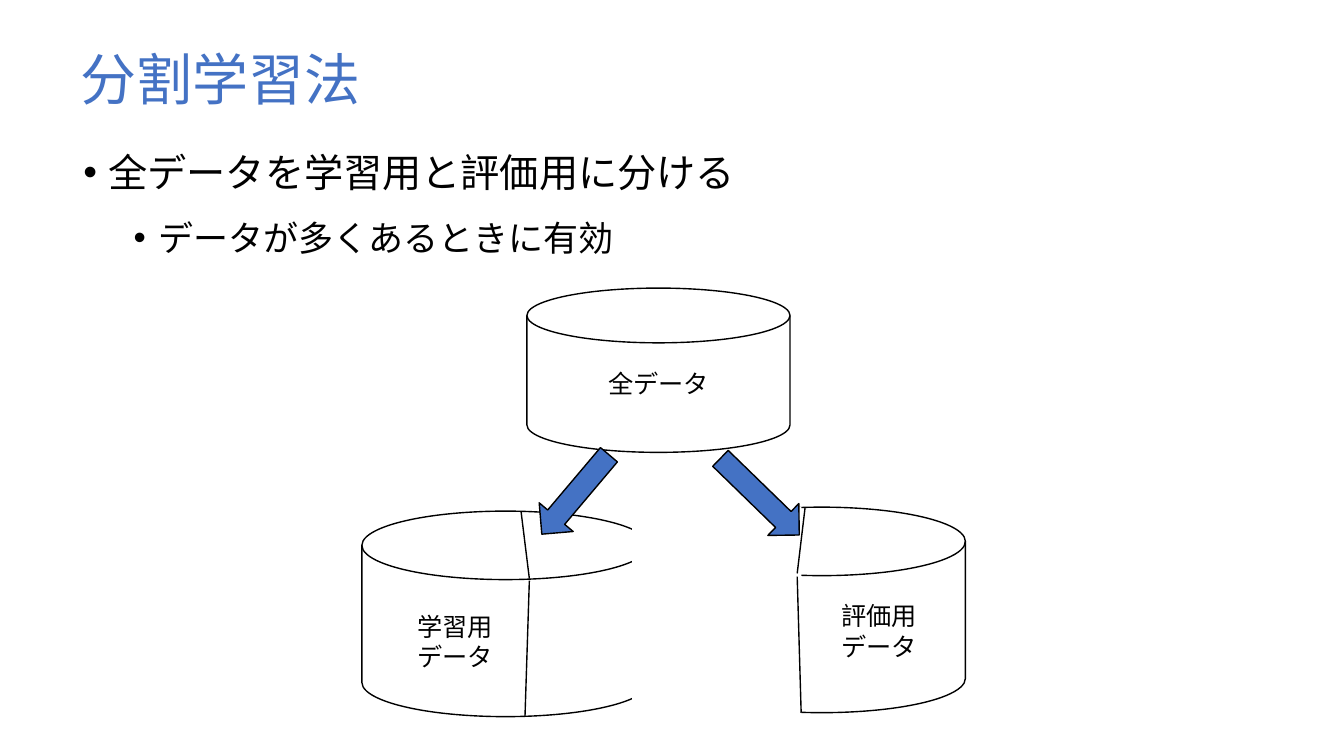
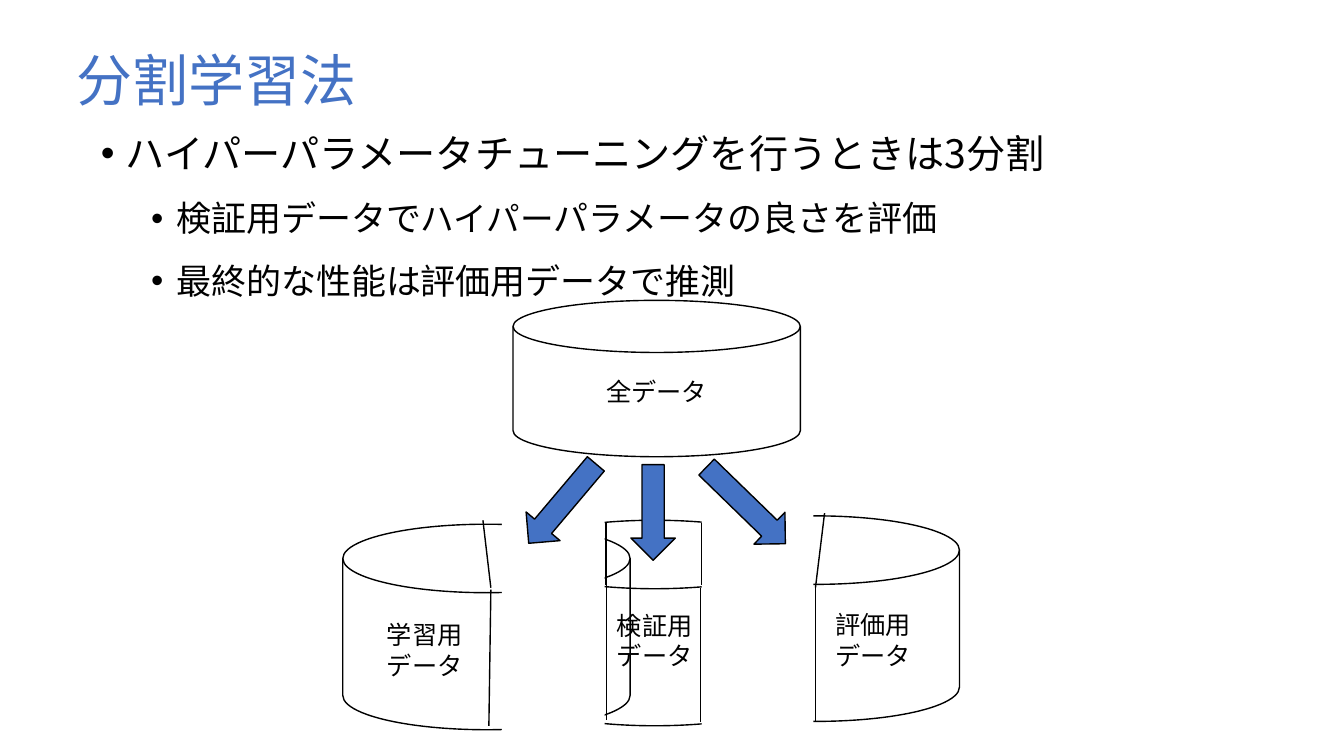
from lxml import etree
from pptx import Presentation
from pptx.dml.color import RGBColor
from pptx.enum.shapes import MSO_CONNECTOR, MSO_SHAPE
from pptx.enum.text import MSO_ANCHOR, PP_ALIGN
from pptx.oxml.ns import qn
from pptx.util import Cm, Pt

DISK = MSO_SHAPE.FLOWCHART_MAGNETIC_DISK
DOWN_ARROW = MSO_SHAPE.DOWN_ARROW
RECT = MSO_SHAPE.RECTANGLE
STRAIGHT = MSO_CONNECTOR.STRAIGHT
MIDDLE = MSO_ANCHOR.MIDDLE
CENTER = PP_ALIGN.CENTER
LEFT = PP_ALIGN.LEFT

COLORS = {"accent": "4472C4", "ink": "000000", "paper": "FFFFFF"}
CJK_FONT = "Noto Sans CJK JP"
LABEL_FONT = "Calibri"

TITLE = "分割学習法"
ALL_DATA = "全データ"
TRAIN = "学習用\nデータ"
VALIDATION = "検証用\nデータ"
TEST = "評価用\nデータ"

# Lengths in cm
PART_SIZE = (7.24, 5.18)
LABEL_SIZE = (2.44, 1.8)
MASK_H = 5.66
WIDE_MASK, NARROW_MASK = 4.27, 2.59
ARROW_W = 1.12
LEFT_ANGLE, RIGHT_ANGLE = 40.2, 314.2


def rgb(name):
    return RGBColor.from_string(COLORS[name])


def style_run(r, size, font, color="ink"):
    r.font.size = Pt(size)
    r.font.name = font
    r.font.color.rgb = rgb(color)
    east_asian = etree.SubElement(r._r.get_or_add_rPr(), qn("a:ea"))
    east_asian.set("typeface", CJK_FONT)


def write_label(tf, text, align):
    tf.text = text
    for p in tf.paragraphs:
        p.alignment = align
        for r in p.runs:
            style_run(r, 18, LABEL_FONT)


def add_text_box(s, x, y, w, h):
    tf = s.shapes.add_textbox(Cm(x), Cm(y), Cm(w), Cm(h)).text_frame
    tf.word_wrap = True
    return tf


def add_title(s, x, y):
    tf = add_text_box(s, x, y, 21.89, 2.18)
    tf.vertical_anchor = MIDDLE
    tf.text = TITLE
    p = tf.paragraphs[0]
    p.line_spacing = 0.9
    style_run(p.runs[0], 40, CJK_FONT, "accent")


def add_bullets(s, x, y, w, items):
    """Each item is a level followed by (text, size) runs."""
    tf = add_text_box(s, x, y, w, 12.85)
    for i, (level, *runs) in enumerate(items):
        p = tf.add_paragraph() if i else tf.paragraphs[0]
        p.level = level
        p.line_spacing = Pt(40)
        p.space_before = Pt(5 if level else 10)
        pPr = p._p.get_or_add_pPr()
        pPr.set("marL", str(Cm(0.635 + 1.27 * level)))
        pPr.set("indent", str(-Cm(0.635)))
        etree.SubElement(pPr, qn("a:buFont")).set("typeface", "Arial")
        etree.SubElement(pPr, qn("a:buChar")).set("char", "•")
        for text, size in runs:
            r = p.add_run()
            r.text = text
            style_run(r, size, CJK_FONT)


def add_shape(s, kind, x, y, w, h, fill=None, outlined=True):
    sp = s.shapes.add_shape(kind, Cm(x), Cm(y), Cm(w), Cm(h))
    sp.shadow.inherit = False
    if fill:
        sp.fill.solid()
        sp.fill.fore_color.rgb = rgb(fill)
    else:
        sp.fill.background()
    if outlined:
        sp.line.color.rgb = rgb("ink")
        sp.line.width = Pt(1)
    else:
        sp.line.fill.background()
    return sp


def add_disk(s, x, y, w, h, text=""):
    sp = add_shape(s, DISK, x, y, w, h)
    if text:
        sp.text_frame.vertical_anchor = MIDDLE
        write_label(sp.text_frame, text, CENTER)


def add_mask(s, x, y, w):
    """White area that hides the cut-off side of a disk."""
    add_shape(s, RECT, x, y, w, MASK_H, "paper", outlined=False)


def add_cuts(s, *segments):
    """Edges along which a disk is cut, each as x1, y1, x2, y2."""
    for segment in segments:
        line = s.shapes.add_connector(STRAIGHT, *map(Cm, segment))
        line.line.color.rgb = rgb("ink")
        line.line.width = Pt(1)
        etree.SubElement(line._element.spPr, qn("a:effectLst"))


def add_label(s, x, y, text):
    tf = add_text_box(s, x, y, *LABEL_SIZE)
    tf.word_wrap = False
    write_label(tf, text, LEFT)


def add_arrow(s, x, y, h, angle=0):
    add_shape(s, DOWN_ARROW, x, y, ARROW_W, h, "accent").rotation = angle


def add_two_way_split(s):
    add_title(s, 1.78, 0.99)
    add_bullets(s, 1.85, 3.4, 22.48, [
        (0, ("全データを学習用と評価用に分ける", 28)),
        (1, ("データが多くあるときに有効", 25)),
    ])
    add_disk(s, 13.28, 7.26, 6.63, 4.14, ALL_DATA)

    add_disk(s, 9.12, 12.88, *PART_SIZE)
    add_cuts(s, (13.13, 12.88, 13.34, 14.58), (13.34, 14.63, 13.23, 18.06))
    add_disk(s, 17.09, 12.78, *PART_SIZE)
    add_mask(s, 15.93, 12.78, WIDE_MASK)
    add_cuts(s, (20.29, 12.78, 20.09, 14.45), (20.09, 14.53, 20.19, 17.96))
    add_label(s, 10.26, 15.27, TRAIN)
    add_label(s, 20.96, 15.01, TEST)

    add_arrow(s, 13.94, 11.15, 2.62, LEFT_ANGLE)
    add_arrow(s, 18.59, 11.13, 2.77, RIGHT_ANGLE)


def add_three_way_split(s):
    add_title(s, 1.68, 1.02)
    add_bullets(s, 2.29, 2.9, 25.7, [
        (0, ("ハイパーパラメータチューニングを行うときは3分割", 28)),
        (1, ("検証用データで", 25), ("ハイパー", 24),
         ("パラメータの良さを評価", 25)),
        (1, ("最終的な性能は評価用データで推測", 25)),
    ])
    add_disk(s, 12.93, 7.57, 7.24, 3.94, ALL_DATA)

    add_disk(s, 8.64, 13.21, *PART_SIZE)
    add_cuts(s, (12.17, 13.11, 12.37, 14.81), (12.37, 14.86, 12.32, 18.29))
    add_disk(s, 16.94, 13, *PART_SIZE)
    add_mask(s, 16.23, 12.9, WIDE_MASK)
    add_cuts(s, (20.78, 12.93, 20.55, 14.81), (20.55, 14.73, 20.55, 18.19))
    add_label(s, 9.5, 15.49, TRAIN)
    add_label(s, 20.8, 15.24, TEST)

    add_disk(s, 12.88, 13.11, *PART_SIZE, VALIDATION)
    add_mask(s, 12.65, 12.88, NARROW_MASK)
    add_mask(s, 17.68, 12.73, NARROW_MASK)
    add_cuts(s, (15.27, 13.18, 15.27, 14.73), (17.68, 13.18, 17.68, 14.73),
             (15.29, 14.73, 15.29, 18.14), (17.65, 14.81, 17.65, 18.19))

    add_arrow(s, 13.61, 11.38, 2.62, LEFT_ANGLE)
    add_arrow(s, 18.24, 11.35, 2.77, RIGHT_ANGLE)
    add_arrow(s, 15.9, 11.71, 2.41)


def main():
    prs = Presentation()
    prs.slide_width, prs.slide_height = Cm(33.87), Cm(19.05)
    blank = prs.slide_layouts[6]
    for build in (add_two_way_split, add_three_way_split):
        build(prs.slides.add_slide(blank))
    prs.save("out.pptx")


if __name__ == "__main__":
    main()
